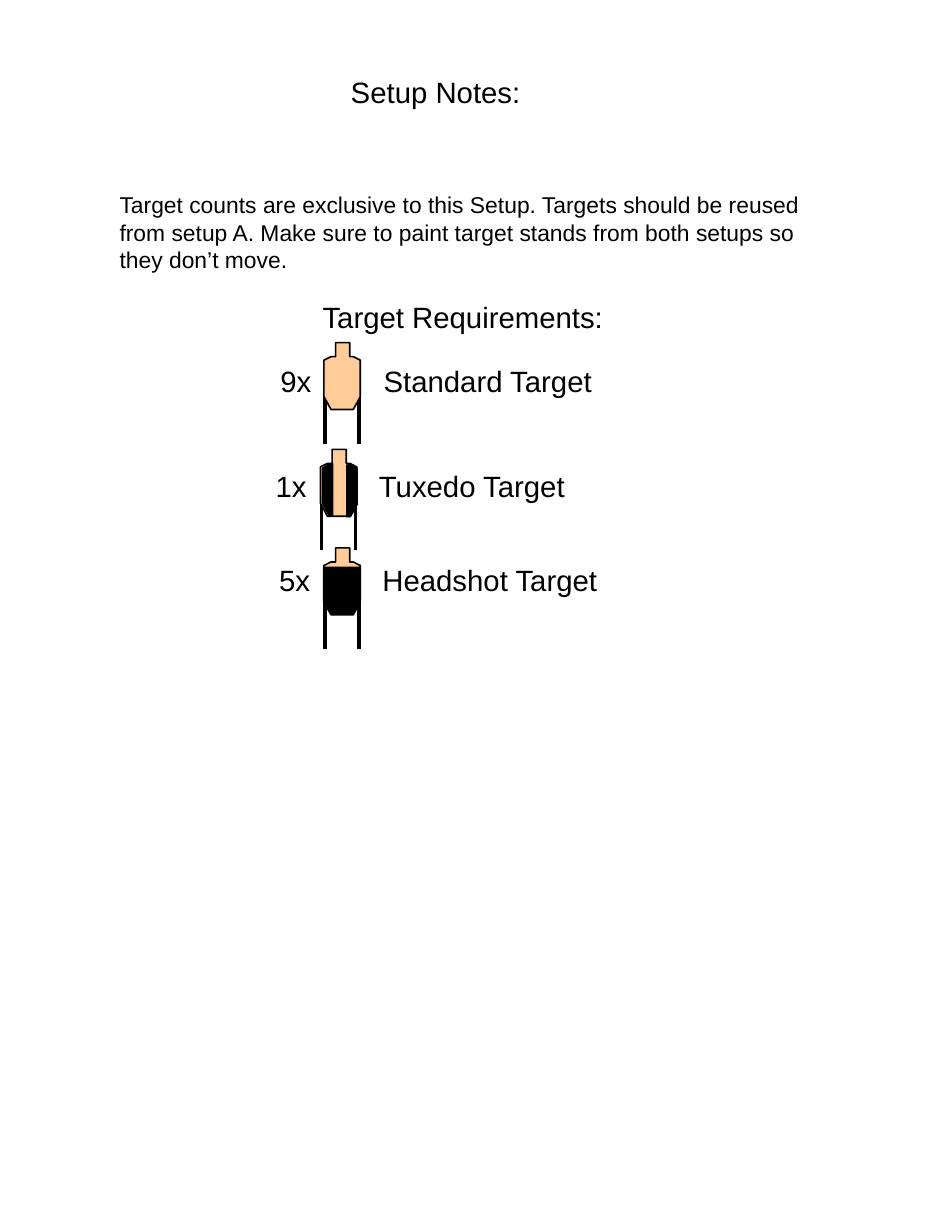
import dataclasses

import pptx
import pptx.dml.color
import pptx.enum.shapes
import pptx.oxml
import pptx.oxml.ns
import pptx.util

Inches = pptx.util.Inches
Pt = pptx.util.Pt


@dataclasses.dataclass(frozen=True)
class Theme:
    """Colours, font and sizes used on the slide."""
    ink: str = "000000"
    tan: str = "FFCC99"
    font: str = "Arial"
    heading: int = 18
    body: int = 14
    outline: float = 1
    post: float = 2.25


THEME = Theme()

SILHOUETTE = [(0.1, 0), (0.22, 0), (0.22, 0.12), (0.25, 0.12), (0.31, 0.15), (0.31, 0.46),
              (0.25, 0.57), (0.06, 0.57), (0, 0.46), (0, 0.15), (0.06, 0.12), (0.1, 0.12)]
HEADSHOT = [[(-0.01, 0.16), (0.31, 0.16), (0.31, 0.46), (0.25, 0.57), (0.06, 0.57), (-0.01, 0.46)]]
TUXEDO = [[(0.22, 0.13), (0.22, 0.58), (0.26, 0.58), (0.32, 0.47), (0.32, 0.16), (0.26, 0.12)],
          [(0.11, 0.12), (0.11, 0.57), (0.07, 0.57), (0.01, 0.46), (0.01, 0.16), (0.07, 0.12)]]

ROWS = [
    ("9x", "Standard Target", (2.29, 3.05), (2.76, 2.92), []),
    ("1x", "Tuxedo Target", (2.25, 3.94), (2.73, 3.83), TUXEDO),
    ("5x", "Headshot Target", (2.28, 4.74), (2.76, 4.67), HEADSHOT),
]


def rgb(value):
    """Turn a hex string into a colour."""
    return pptx.dml.color.RGBColor.from_string(value)


def add_text(slide, text, box, size=THEME.heading, wrap=True, tab=None):
    """Add a text box, with an optional tab stop in inches."""
    s = slide.shapes.add_textbox(*map(Inches, box))
    tf = s.text_frame
    tf.word_wrap = wrap
    p = tf.paragraphs[0]
    if tab:
        tabs = pptx.oxml.parse_xml(
            f'<a:tabLst {pptx.oxml.ns.nsdecls("a")}><a:tab pos="{Inches(tab)}" algn="l"/></a:tabLst>')
        p._p.get_or_add_pPr().append(tabs)
    r = p.add_run()
    r.text = text
    r.font.name, r.font.size = THEME.font, Pt(size)
    r.font.color.rgb = rgb(THEME.ink)
    return s


def add_outline(shapes, origin, points, fill, line=None):
    """Add a closed polygon whose points are relative to the origin."""
    x, y = origin
    pts = [(Inches(x + dx), Inches(y + dy)) for dx, dy in points]
    builder = shapes.build_freeform(*pts[0])
    builder.add_line_segments(pts[1:], close=True)
    s = builder.convert_to_shape()
    s.shadow.inherit = False
    s.fill.solid()
    s.fill.fore_color.rgb = rgb(fill)
    if line:
        s.line.color.rgb = rgb(THEME.ink)
        s.line.width = Pt(line)
    else:
        s.line.fill.background()


def add_post(shapes, x, top, bottom):
    """Add one vertical post of a target stand."""
    s = shapes.add_connector(pptx.enum.shapes.MSO_CONNECTOR.STRAIGHT,
                             Inches(x), Inches(top), Inches(x), Inches(bottom))
    s.line.color.rgb = rgb(THEME.ink)
    s.line.width = Pt(THEME.post)
    s._element.spPr.append(pptx.oxml.parse_xml(f'<a:effectLst {pptx.oxml.ns.nsdecls("a")}/>'))


def add_target(slide, origin, masks):
    """Group a target on its stand, with its blacked-out areas."""
    shapes = slide.shapes.add_group_shape().shapes
    x, y = origin
    for dx in (0.01, 0.3):
        add_post(shapes, x + dx, y + 0.42, y + 0.86)
    add_outline(shapes, origin, SILHOUETTE, THEME.tan, THEME.outline)
    for mask in masks:
        add_outline(shapes, origin, mask, THEME.ink)


def add_notes(slide, box):
    """Add the setup heading and its paragraph."""
    left, top, width, height = box
    add_text(slide, "Setup Notes:", (left + 1.97, top, 1.66, 0.4), wrap=False)
    add_text(slide, "Target counts are exclusive to this Setup. Targets should be reused from setup A. "
                    "Make sure to paint target stands from both setups so they don’t move.",
             (left, top + 1, width, height - 1), size=THEME.body)


def add_requirements(slide, box):
    """Add the requirements heading and one row per target type."""
    add_text(slide, "Target Requirements:", box, wrap=False)
    for count, name, label_at, target_at, masks in ROWS:
        add_target(slide, target_at, masks)
        add_text(slide, f"{count}\t{name}", (*label_at, 3, 0.4), tab=0.88)


def main():
    """Build and save the slide."""
    prs = pptx.Presentation()
    prs.slide_width, prs.slide_height = Inches(8), Inches(10.5)
    slide = prs.slides.add_slide(prs.slide_layouts[6])
    add_notes(slide, (0.92, 0.58, 6.17, 1.81))
    add_requirements(slide, (2.65, 2.5, 2.7, 0.4))
    prs.save("out.pptx")


if __name__ == "__main__":
    main()
